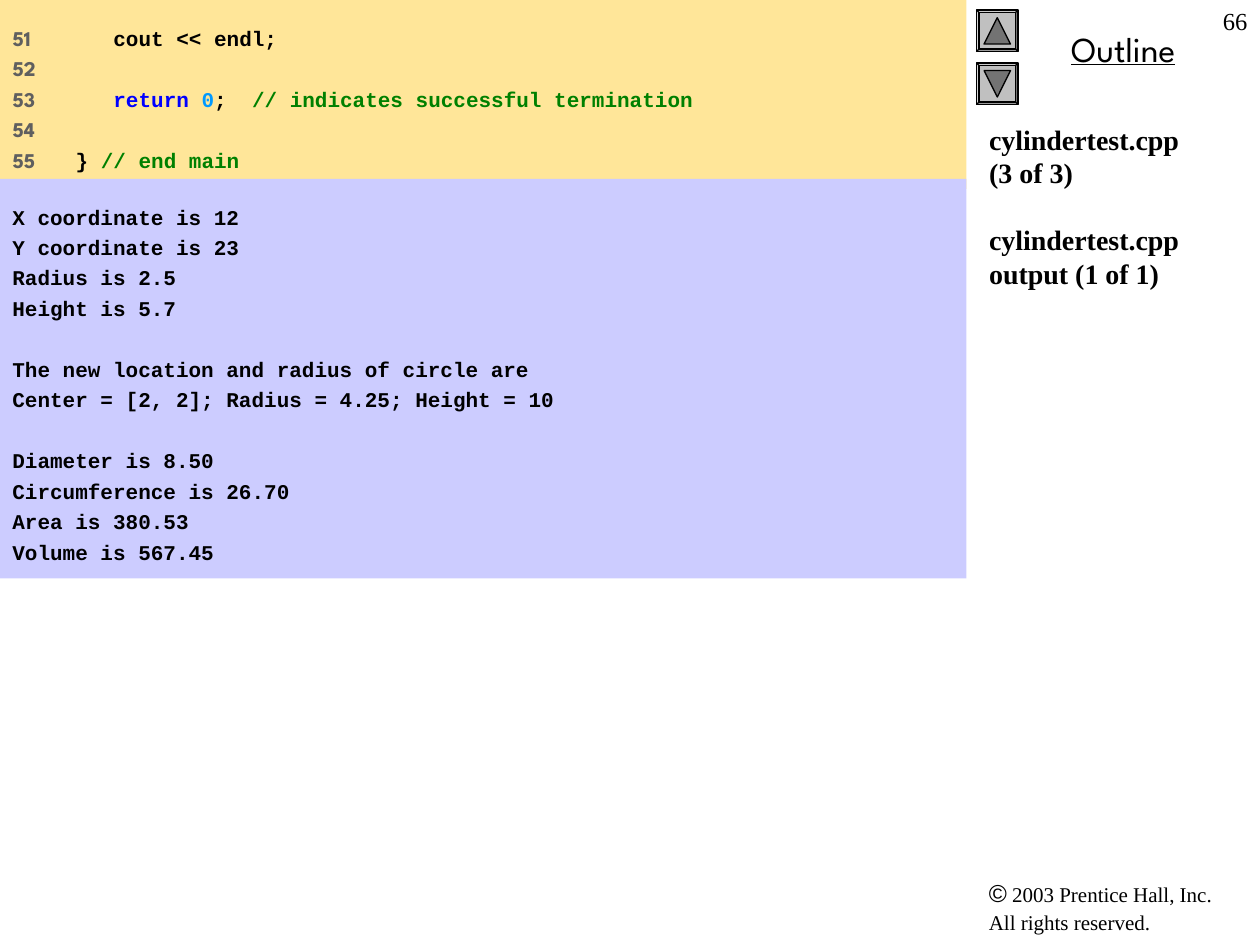
from dataclasses import dataclass

from lxml.etree import SubElement
from pptx import Presentation
from pptx.dml.color import RGBColor
from pptx.enum.shapes import MSO_SHAPE as Shape
from pptx.enum.text import MSO_ANCHOR as Anchor, MSO_AUTO_SIZE as AutoSize, PP_ALIGN as Align
from pptx.oxml.ns import qn
from pptx.util import Inches, Pt


@dataclass(frozen=True)
class Theme:
    ink: str = "000000"
    line_number: str = "5F5F5F"
    keyword: str = "0000FF"
    number: str = "0099FF"
    comment: str = "008000"
    code_fill: str = "FFE699"
    output_fill: str = "CCCCFF"
    button: str = "C0C0C0"
    arrow: str = "737373"
    serif: str = "Times New Roman"
    sans: str = "Arial"
    mono: str = "Courier New"
    display: str = "League Spartan"
    small: float = 12
    label: float = 14
    title: float = 16
    heading: float = 20
    leading: float = 1.2
    code_gap: float = 3


THEME = Theme()

CODE = [
    ("51", [("   cout << endl;", THEME.ink)]),
    ("52", []),
    ("53", [("   ", THEME.ink), ("return ", THEME.keyword), ("0", THEME.number),
            (";  ", THEME.ink),
            ("// indicates successful termination", THEME.comment)]),
    ("54", []),
    ("55", [("} ", THEME.ink), ("// end main", THEME.comment)]),
]

OUTPUT_GROUPS = [
    ["X coordinate is 12", "Y coordinate is 23", "Radius is 2.5", "Height is 5.7"],
    ["The new location and radius of circle are",
     "Center = [2, 2]; Radius = 4.25; Height = 10"],
    ["Diameter is 8.50", "Circumference is 26.70", "Area is 380.53",
     "Volume is 567.45"],
]

TITLE_GROUPS = [
    ["cylindertest.cpp", "(3 of 3)"],
    ["cylindertest.cpp", "output (1 of 1)"],
]


def place(shape, left, top, width, height):
    shape.left, shape.top = Inches(left), Inches(top)
    shape.width, shape.height = Inches(width), Inches(height)


def paint(shape, color):
    shape.fill.solid()
    shape.fill.fore_color.rgb = RGBColor.from_string(color)


def prepare_frame(shape, vertical_inset=0.05):
    frame = shape.text_frame
    frame.word_wrap = True
    frame.auto_size = AutoSize.NONE
    frame.vertical_anchor = Anchor.TOP
    frame.margin_left = frame.margin_right = Inches(0.1)
    frame.margin_top = frame.margin_bottom = Inches(vertical_inset)
    return frame


def add_para(frame, line_height, before=0, align=Align.LEFT):
    """Start a paragraph; the first one in a frame gets no space before."""
    first = frame.paragraphs[0]
    is_first = not first.runs
    para = first if is_first else frame.add_paragraph()
    para.alignment = align
    para.line_spacing = Pt(line_height)
    para.space_before = Pt(0 if is_first else before)
    return para


def add_span(para, text, font, size, color=THEME.ink, bold=False, underline=False):
    span = para.add_run()
    span.text = text
    span.font.name = font
    span.font.size = Pt(size)
    span.font.bold = bold
    span.font.underline = underline
    span.font.color.rgb = RGBColor.from_string(color)


def add_tab_stop(para, position):
    stops = SubElement(para._p.get_or_add_pPr(), qn("a:tabLst"))
    SubElement(stops, qn("a:tab"), pos=str(Inches(position)), algn="l")


def add_label(page, bounds, text, font, size, align, underline=False):
    box = page.shapes.add_textbox(*map(Inches, bounds))
    para = add_para(prepare_frame(box), size * THEME.leading, align=align)
    add_span(para, text, font, size, underline=underline)


def add_copyright(page):
    box = page.shapes.add_textbox(*map(Inches, (7.75, 6.94, 2.17, 0.54)))
    para = add_para(prepare_frame(box), 15.4)
    add_span(para, "©", THEME.sans, THEME.label)
    add_span(para, " 2003 Prentice Hall, Inc.", THEME.serif, THEME.small)
    para.add_line_break()
    add_span(para, "All rights reserved.", THEME.serif, THEME.small)


def add_arrow_button(page, top, rotation):
    """Draw a bevelled button whose triangle is turned by rotation."""
    parts = [(Shape.BEVEL, 7.75, top, 0.33, THEME.button),
             (Shape.ISOSCELES_TRIANGLE, 7.81, top + 0.06, 0.21, THEME.arrow)]
    for kind, left, part_top, size, color in parts:
        part = page.shapes.add_shape(
            kind, Inches(left), Inches(part_top), Inches(size), Inches(size))
        part.shadow.inherit = False
        paint(part, color)
        part.line.color.rgb = RGBColor.from_string(THEME.ink)
        part.line.width = Pt(0.75)
        if kind == Shape.BEVEL:
            part.adjustments[0] = 0.06
        else:
            part.rotation = rotation


def fill_title(title):
    place(title, 7.75, 0.92, 2.25, 5.25)
    frame = prepare_frame(title)
    line_height = THEME.title * THEME.leading
    for group in TITLE_GROUPS:
        para = add_para(frame, line_height, before=line_height)
        for index, text in enumerate(group):
            if index:
                para.add_line_break()
            add_span(para, text, THEME.serif, THEME.title, bold=True)


def fill_code(panel):
    place(panel, 0, 0, 7.67, 1.5)
    paint(panel, THEME.code_fill)
    frame = prepare_frame(panel, 0.2)
    for number, tokens in CODE:
        para = add_para(frame, THEME.small * THEME.leading, THEME.code_gap)
        add_tab_stop(para, 0.35)
        label = number + "\t" if tokens else number
        add_span(para, label, THEME.display, THEME.small, THEME.line_number, bold=True)
        for text, color in tokens:
            add_span(para, text, THEME.mono, THEME.small, color, bold=True)


def add_output(page):
    panel = page.shapes.add_shape(
        Shape.RECTANGLE, *map(Inches, (0, 1.42, 7.67, 3.17)))
    panel.shadow.inherit = False
    paint(panel, THEME.output_fill)
    panel.line.fill.background()
    frame = prepare_frame(panel, 0.2)
    line_height = THEME.small * THEME.leading
    for group in OUTPUT_GROUPS:
        for index, text in enumerate(group):
            group_gap = 0 if index else line_height + THEME.code_gap
            para = add_para(frame, line_height, THEME.code_gap + group_gap)
            add_span(para, text, THEME.mono, THEME.small, bold=True)


def main():
    deck = Presentation()
    deck.slide_width, deck.slide_height = Inches(10), Inches(7.5)
    page = deck.slides.add_slide(deck.slide_layouts[0])
    fill_title(page.shapes.title)
    fill_code(page.placeholders[1])
    add_output(page)
    add_label(page, (7.83, 0.17, 2.17, 0.44), "Outline", THEME.display,
              THEME.heading, Align.CENTER, underline=True)
    add_label(page, (9.5, 0, 0.5, 0.5), "66", THEME.serif, THEME.label, Align.RIGHT)
    add_arrow_button(page, 0.08, 0)
    add_arrow_button(page, 0.5, 180)
    add_copyright(page)
    deck.save("out.pptx")


if __name__ == "__main__":
    main()
